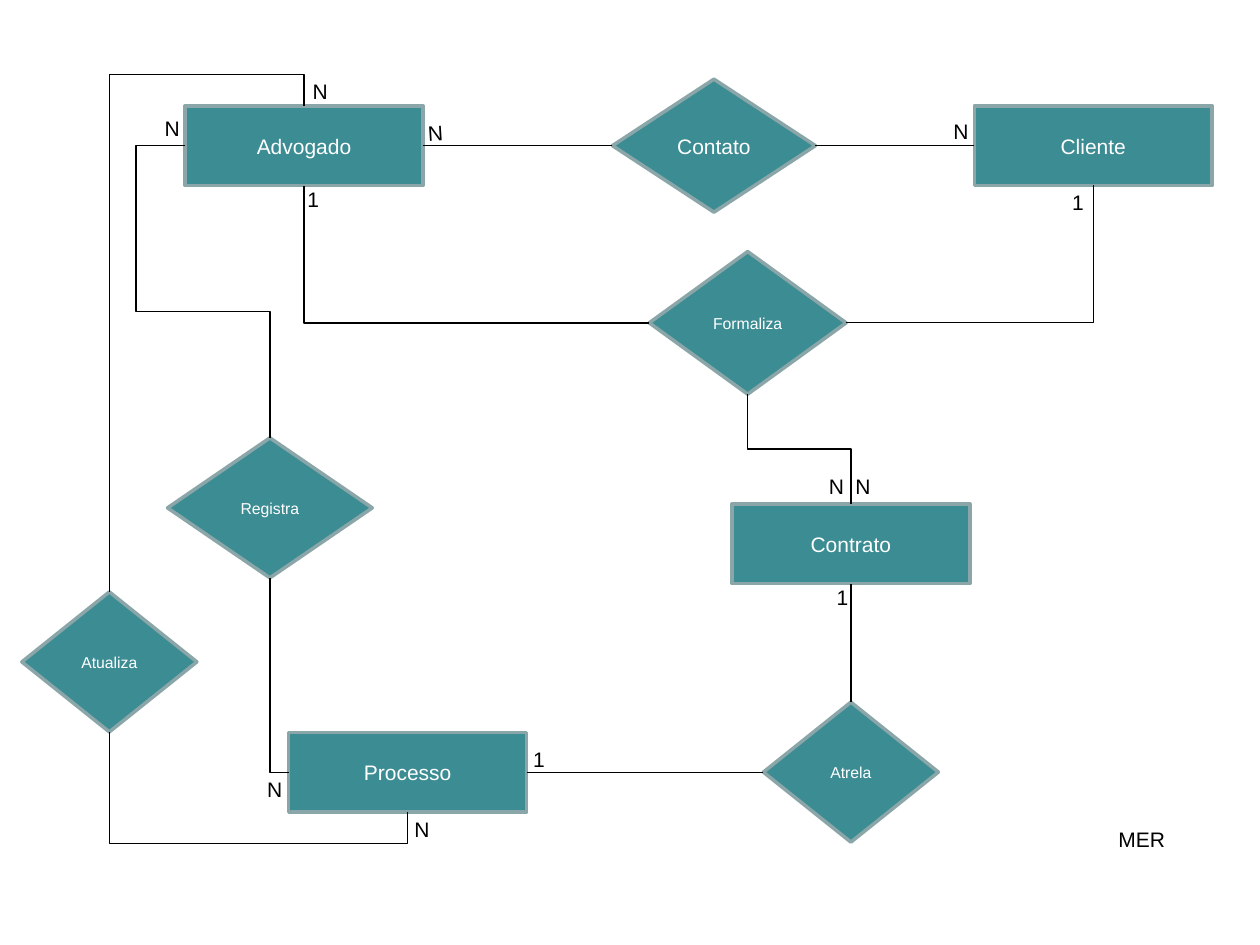
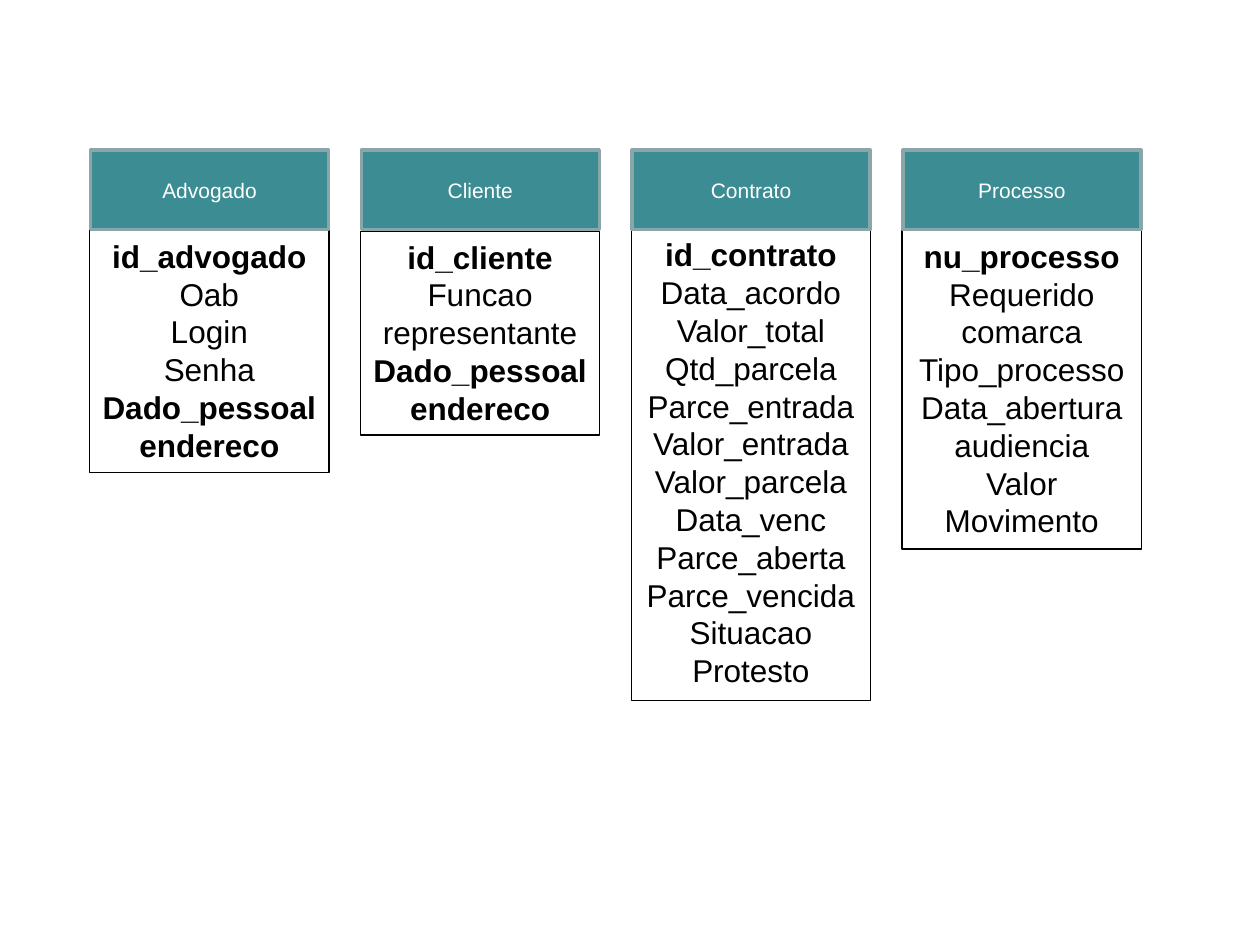
from lxml import etree
from pptx import Presentation
from pptx.dml.color import RGBColor
from pptx.enum.shapes import MSO_CONNECTOR, MSO_SHAPE
from pptx.enum.text import MSO_ANCHOR, MSO_AUTO_SIZE, PP_ALIGN
from pptx.oxml.ns import qn
from pptx.util import Pt

RECTANGLE, DIAMOND = MSO_SHAPE.RECTANGLE, MSO_SHAPE.DIAMOND
STRAIGHT, ELBOW = MSO_CONNECTOR.STRAIGHT, MSO_CONNECTOR.ELBOW
TOP_ANCHOR, MIDDLE = MSO_ANCHOR.TOP, MSO_ANCHOR.MIDDLE
FIT_SHAPE = MSO_AUTO_SIZE.SHAPE_TO_FIT_TEXT
LEFT_ALIGN, CENTER = PP_ALIGN.LEFT, PP_ALIGN.CENTER

TEAL = RGBColor(0x3C, 0x8C, 0x93)
GRAY = RGBColor(0x8A, 0xA6, 0xA8)
WHITE = RGBColor(0xFF, 0xFF, 0xFF)
BLACK = RGBColor(0, 0, 0)
FONT = "Arial"

TOP, LEFT, BOTTOM, RIGHT = range(4)
ENTITY_WIDTH, ENTITY_HEIGHT = 136, 45.5
LINE_PITCH = 21.6
COLUMN_STEP = 154.75

ENTITIES = {
    "Advogado": (105.75, 60.5),
    "Cliente": (556.75, 60.5),
    "Contrato": (418.25, 288),
    "Processo": (165, 418.5),
}
RELATIONS = {
    "Contato": (350, 45.25, 116, 76, 12),
    "Registra": (95.75, 250.25, 117, 80, 9),
    "Formaliza": (371, 143.75, 112.5, 81.5, 9),
    "Atrela": (436.25, 401.25, 100, 80, 9),
    "Atualiza": (12.5, 338.25, 100, 80, 9),
}
STRAIGHT_LINKS = [
    ("Contato", LEFT, "Advogado", RIGHT),
    ("Contato", RIGHT, "Cliente", LEFT),
    ("Atrela", TOP, "Contrato", BOTTOM),
    ("Processo", RIGHT, "Atrela", LEFT),
]
ELBOW_LINKS = [
    ("Registra", TOP, "Advogado", LEFT, 4, 270, "v", (0.432, 1.58)),
    ("Processo", LEFT, "Registra", BOTTOM, 2, 180, "", ()),
    ("Formaliza", LEFT, "Advogado", BOTTOM, 2, 180, "", ()),
    ("Cliente", BOTTOM, "Formaliza", RIGHT, 2, 90, "", ()),
    ("Formaliza", BOTTOM, "Contrato", TOP, 3, 270, "h", (0.5,)),
    ("Atualiza", TOP, "Advogado", TOP, 3, 90, "hv", (1.065,)),
    ("Atualiza", BOTTOM, "Processo", BOTTOM, 3, 270, "h", (1.397,)),
]
LABELS = [
    ("N", 537.75, 64, 0),
    ("N", 481.75, 267, 0),
    ("N", 145.5, 440, 0),
    ("N", 87, 62.5, 0),
    ("N", 466.5, 267.25, 0),
    ("N", 237.5, 65, 356.5),
    ("N", 171.5, 41.5, 0),
    ("N", 229.75, 463, 0),
    ("1", 605.5, 104.5, 0),
    ("1", 168.5, 103, 0),
    ("1", 471, 330.5, 0),
    ("1", 297.5, 422.75, 0),
    ("MER", 632, 468.75, 0),
]
TABLES = [
    ("Advogado", 131.75,
     ["id_advogado", "Oab", "Login", "Senha", "Dado_pessoal\vendereco"]),
    ("Cliente", 132.25,
     ["id_cliente", "Funcao", "representante", "Dado_pessoal\vendereco"]),
    ("Contrato", 131,
     ["id_contrato", "Data_acordo", "Valor_total", "Qtd_parcela",
      "Parce_entrada", "Valor_entrada", "Valor_parcela", "Data_venc",
      "Parce_aberta", "Parce_vencida", "Situacao", "Protesto"]),
    ("Processo", 131.75,
     ["nu_processo", "Requerido", "comarca", "Tipo_processo",
      "Data_abertura", "audiencia", "Valor", "Movimento"]),
]


def write(para, text, size=12, color=BLACK, bold=False, align=LEFT_ALIGN):
    para.text = text
    para.alignment = align
    for span in para.runs:
        span.font.name = FONT
        span.font.size = Pt(size)
        span.font.bold = bold
        span.font.color.rgb = color


def add_box(page, kind, left, top, width, height):
    box = page.shapes.add_shape(kind, Pt(left), Pt(top), Pt(width), Pt(height))
    box.shadow.inherit = False
    return box


def add_node(page, kind, text, left, top, width=ENTITY_WIDTH,
             height=ENTITY_HEIGHT, size=12):
    node = add_box(page, kind, left, top, width, height)
    node.fill.solid()
    node.fill.fore_color.rgb = TEAL
    node.line.color.rgb = GRAY
    node.line.width = Pt(2)
    node.text_frame.vertical_anchor = MIDDLE
    write(node.text_frame.paragraphs[0], text, size=size, color=WHITE, align=CENTER)
    return node


def add_label(page, text, left, top, rotation):
    width = {"N": 23, "1": 21, "MER": 41.75}[text]
    label = page.shapes.add_textbox(Pt(left), Pt(top), Pt(width), Pt(21.75))
    label.rotation = rotation
    label.text_frame.word_wrap = False
    label.text_frame.auto_size = FIT_SHAPE
    write(label.text_frame.paragraphs[0], text)


def style_link(link):
    link.line.color.rgb = BLACK
    link.line.width = Pt(0.75)
    etree.SubElement(link.element.spPr, qn("a:effectLst"))


def add_straight(page, start, start_side, end, end_side):
    link = page.shapes.add_connector(STRAIGHT, 0, 0, 0, 0)
    link.begin_connect(start, start_side)
    link.end_connect(end, end_side)
    style_link(link)


def side_point(box, side):
    across = {LEFT: 0, RIGHT: 1}.get(side, 0.5)
    down = {TOP: 0, BOTTOM: 1}.get(side, 0.5)
    return box.left + box.width * across, box.top + box.height * down


def add_elbow(page, start, end, segments, rotation, flips, adjustments):
    width, height = abs(end[0] - start[0]), abs(end[1] - start[1])
    if rotation in (90, 270):
        width, height = height, width
    left = int((start[0] + end[0] - width) / 2)
    top = int((start[1] + end[1] - height) / 2)
    link = page.shapes.add_connector(
        ELBOW, left, top, left + int(width), top + int(height))
    frame = link.element.spPr.find(qn("a:xfrm"))
    frame.set("rot", str(rotation * 60000))
    for flip in flips:
        frame.set("flip" + flip.upper(), "1")
    geometry = link.element.spPr.find(qn("a:prstGeom"))
    geometry.set("prst", f"bentConnector{segments}")
    guides = geometry.find(qn("a:avLst"))
    for number, value in enumerate(adjustments, 1):
        etree.SubElement(guides, qn("a:gd"), name=f"adj{number}",
                         fmla=f"val {round(value * 100000)}")
    style_link(link)


def add_field_list(page, left, top, fields):
    lines = sum(field.count("\v") + 1 for field in fields)
    box = add_box(page, RECTANGLE, left, top, 136.75, lines * 21.85 + 7.2)
    box.fill.background()
    box.line.color.rgb = BLACK
    box.line.width = Pt(0.75)
    frame = box.text_frame
    frame.vertical_anchor = TOP_ANCHOR
    for index, field in enumerate(fields):
        para = frame.add_paragraph() if index else frame.paragraphs[0]
        write(para, field, size=18, bold=index == 0 or "\v" in field, align=CENTER)
        para.line_spacing = Pt(LINE_PITCH)


def draw_model(page):
    nodes = {}
    for name, place in ENTITIES.items():
        nodes[name] = add_node(page, RECTANGLE, name, *place)
    for name, place in RELATIONS.items():
        nodes[name] = add_node(page, DIAMOND, name, *place)
    for start, start_side, end, end_side in STRAIGHT_LINKS:
        add_straight(page, nodes[start], start_side, nodes[end], end_side)
    for start, start_side, end, end_side, *route in ELBOW_LINKS:
        add_elbow(page, side_point(nodes[start], start_side),
                  side_point(nodes[end], end_side), *route)
    for label in LABELS:
        add_label(page, *label)


def draw_tables(page):
    for index, (name, top, fields) in enumerate(TABLES):
        left = 51.75 + index * COLUMN_STEP
        add_field_list(page, left - 0.5, top, fields)
        add_node(page, RECTANGLE, name, left, 85.75)


def main():
    deck = Presentation()
    deck.slide_width, deck.slide_height = Pt(720), Pt(540)
    blank = deck.slide_layouts[6]
    for draw in (draw_model, draw_tables):
        draw(deck.slides.add_slide(blank))
    deck.save("out.pptx")


main()
